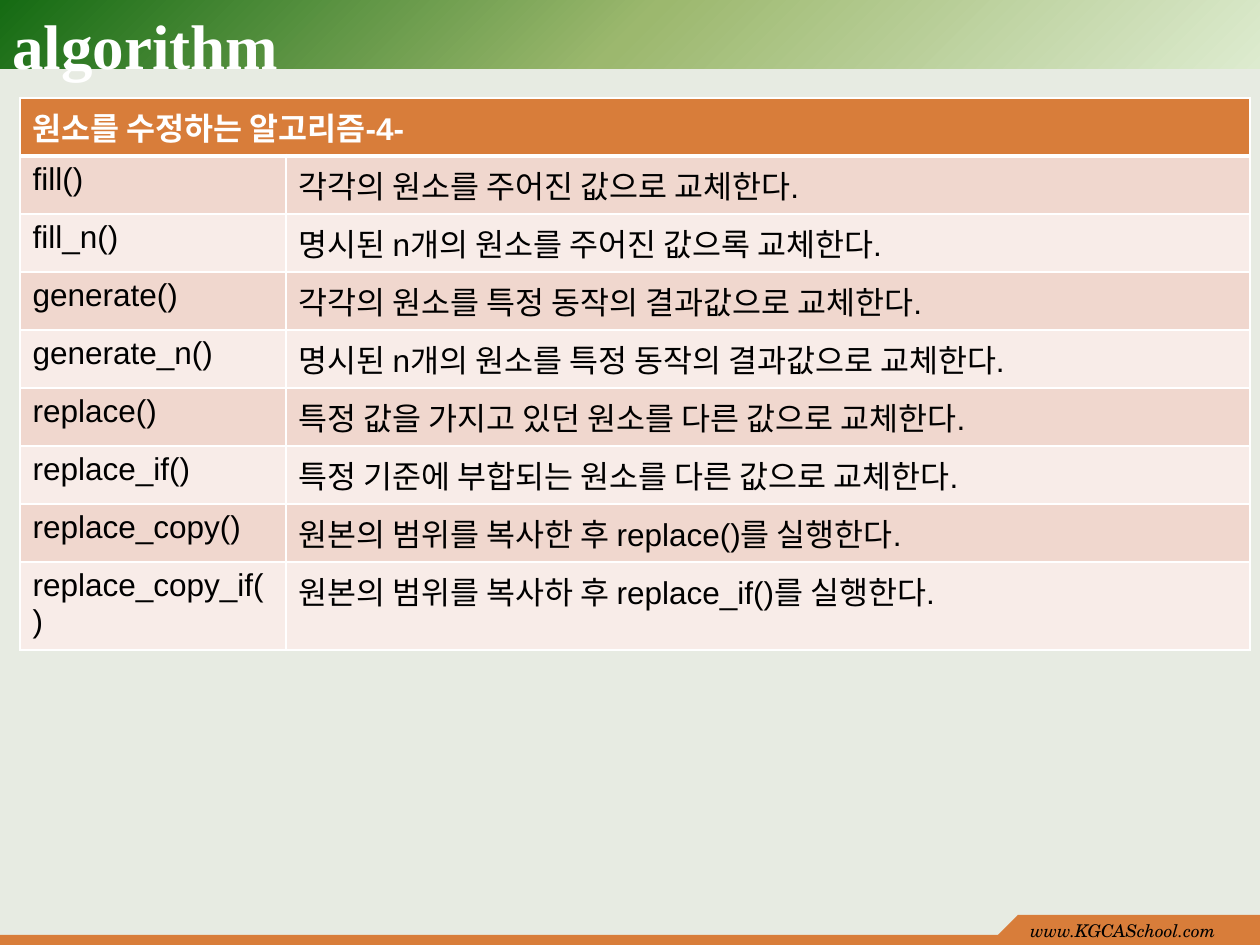
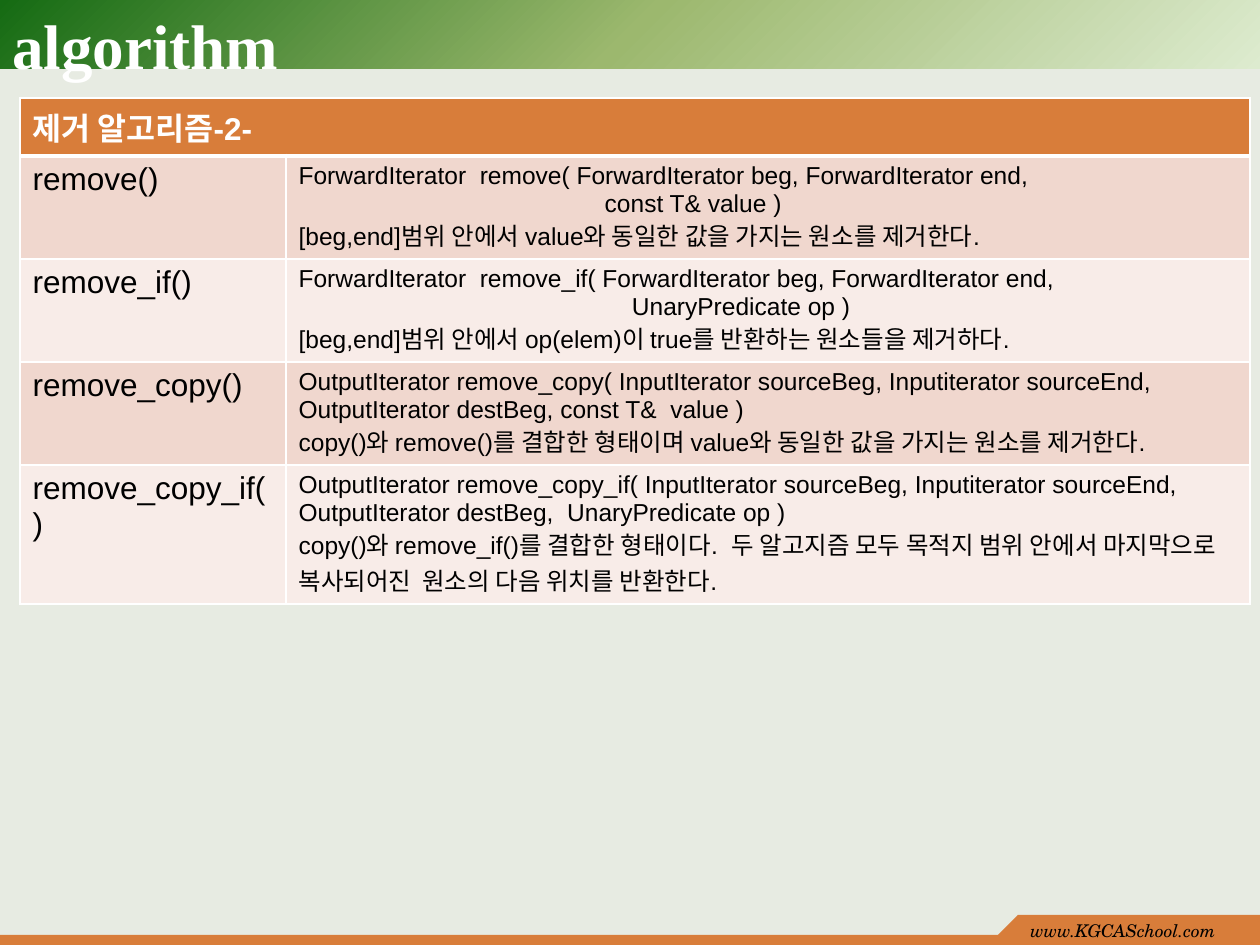
from pptx import Presentation
from pptx.dml.color import RGBColor
from pptx.enum.shapes import MSO_SHAPE as Preset
from pptx.enum.text import MSO_ANCHOR as Anchor
from pptx.oxml import parse_xml
from pptx.oxml.ns import nsdecls
from pptx.util import Pt

TITLE = "algorithm"
FOOTER = "www.KGCASchool.com"
TABLES = [
    {
        "heading": "원소를 수정하는 알고리즘-4-",
        "detail_size": 18,
        "heights": [58] * 8 + [83],
        "rows": [
            ("fill()", ["각각의 원소를 주어진 값으로 교체한다."]),
            ("fill_n()", ["명시된 n개의 원소를 주어진 값으록 교체한다."]),
            ("generate()", ["각각의 원소를 특정 동작의 결과값으로 교체한다."]),
            ("generate_n()", ["명시된 n개의 원소를 특정 동작의 결과값으로 교체한다."]),
            ("replace()", ["특정 값을 가지고 있던 원소를 다른 값으로 교체한다."]),
            ("replace_if()", ["특정 기준에 부합되는 원소를 다른 값으로 교체한다."]),
            ("replace_copy()", ["원본의 범위를 복사한 후 replace()를 실행한다."]),
            ("replace_copy_if()", ["원본의 범위를 복사하 후 replace_if()를 실행한다."]),
        ],
    },
    {
        "heading": "제거 알고리즘-2-",
        "detail_size": 14,
        "heights": [58, 103, 103, 103, 139],
        "rows": [
            ("remove()", [
                "ForwardIterator  remove( ForwardIterator beg, ForwardIterator end,\n"
                "                                             const T& value )",
                "[beg,end]범위 안에서 value와 동일한 값을 가지는 원소를 제거한다.",
            ]),
            ("remove_if()", [
                "ForwardIterator  remove_if( ForwardIterator beg, ForwardIterator end,\n"
                "                                                 UnaryPredicate op )",
                "[beg,end]범위 안에서 op(elem)이 true를 반환하는 원소들을 제거하다.",
            ]),
            ("remove_copy()", [
                "OutputIterator remove_copy( InputIterator sourceBeg, Inputiterator sourceEnd, "
                "OutputIterator destBeg, const T&  value )",
                "copy()와 remove()를 결합한 형태이며 value와 동일한 값을 가지는 원소를 제거한다.",
            ]),
            ("remove_copy_if()", [
                "OutputIterator remove_copy_if( InputIterator sourceBeg, Inputiterator sourceEnd, "
                "OutputIterator destBeg,  UnaryPredicate op )",
                "copy()와 remove_if()를 결합한 형태이다.  두 알고지즘 모두 목적지 범위 안에서 "
                "마지막으로 복사되어진  원소의 다음 위치를 반환한다.",
            ]),
        ],
    },
]

EMU_PER_PX = 914400 / 126
WIDTH, HEIGHT = 1260, 945
TABLE_LEFT, TABLE_TOP = 20, 98
COLUMNS = [266, 964]
TAB_LEFT, TAB_TOP, TAB_HEIGHT = 1018, 915, 21
BAR_TOP = 935

BACKGROUND, ACCENT, WHITE, BLACK = "E7EBE2", "D87D3A", "FFFFFF", "000000"
ROW_FILLS = ["F0D7CE", "F8ECE8"]
BAND_STOPS = [(0, "DDEBCF"), (50, "9CB86E"), (100, "156B13")]

TITLE_FORMAT = {"name": "Times New Roman", "size": 36, "color": WHITE, "bold": True}
FOOTER_FORMAT = {"name": "TeX Gyre Schola", "size": 10, "color": BLACK, "italic": True}
HEADING_FORMAT = {"name": "Arial", "size": 18, "color": WHITE, "bold": True}
NAME_FORMAT = {"name": "Arial", "size": 18, "color": BLACK, "bold": False}


def px(*lengths):
    return [round(length * EMU_PER_PX) for length in lengths]


def rgb(value):
    return RGBColor.from_string(value)


def write(text_frame, texts, text_format):
    for index, text in enumerate(texts):
        paragraph = text_frame.add_paragraph() if index else text_frame.paragraphs[0]
        paragraph.text = text
        for run in paragraph.runs:
            for key, value in text_format.items():
                if key == "color":
                    run.font.color.rgb = rgb(value)
                else:
                    setattr(run.font, key, Pt(value) if key == "size" else value)


def paint(shape, color):
    shape.shadow.inherit = False
    shape.fill.solid()
    shape.fill.fore_color.rgb = rgb(color)
    shape.line.fill.background()


def add_bar(slide, *box):
    shape = slide.shapes.add_shape(Preset.RECTANGLE, *px(*box))
    paint(shape, ACCENT)
    return shape


def add_text(slide, box, text, text_format, anchor):
    text_frame = slide.shapes.add_textbox(*px(*box)).text_frame
    text_frame.word_wrap = True
    text_frame.vertical_anchor = anchor
    write(text_frame, [text], text_format)


def add_title_band(slide):
    band = add_bar(slide, 0, 0, WIDTH, 69)
    stops = "".join(
        f'<a:gs pos="{position * 1000}"><a:srgbClr val="{color}"/></a:gs>'
        for position, color in BAND_STOPS
    )
    gradient = parse_xml(
        f'<a:gradFill {nsdecls("a")} rotWithShape="1"><a:gsLst>{stops}</a:gsLst>'
        '<a:path path="circle"><a:fillToRect l="100000" t="100000"/></a:path></a:gradFill>'
    )
    properties = band.element.spPr
    properties.replace(properties.find("{*}solidFill"), gradient)
    add_text(slide, (0, 0, 1134, 88), TITLE, TITLE_FORMAT, Anchor.MIDDLE)


def add_footer(slide):
    tab_width = WIDTH - TAB_LEFT
    add_bar(slide, 0, BAR_TOP, WIDTH, HEIGHT - BAR_TOP)
    add_bar(slide, TAB_LEFT, TAB_TOP, tab_width, TAB_HEIGHT)
    tab_bottom = TAB_TOP + TAB_HEIGHT
    builder = slide.shapes.build_freeform(TAB_LEFT - TAB_HEIGHT, tab_bottom, scale=EMU_PER_PX)
    builder.add_line_segments([(TAB_LEFT, tab_bottom), (TAB_LEFT, TAB_TOP)], close=True)
    paint(builder.convert_to_shape(), ACCENT)
    add_text(slide, (TAB_LEFT, 914, tab_width, 31), FOOTER, FOOTER_FORMAT, Anchor.TOP)


def style_cell(cell, color, widths):
    cell.fill.solid()
    cell.fill.fore_color.rgb = rgb(color)
    for index, (side, width) in enumerate(zip("LRTB", widths)):
        border = parse_xml(
            f'<a:ln{side} {nsdecls("a")} w="{Pt(width)}"><a:solidFill>'
            f'<a:srgbClr val="{WHITE}"/></a:solidFill></a:ln{side}>'
        )
        cell._tc.tcPr.insert(index, border)


def add_function_table(slide, content):
    heights = content["heights"]
    box = px(TABLE_LEFT, TABLE_TOP, sum(COLUMNS), sum(heights))
    table = slide.shapes.add_table(len(heights), len(COLUMNS), *box).table
    for column, width in zip(table.columns, px(*COLUMNS)):
        column.width = width
    for row, height in zip(table.rows, px(*heights)):
        row.height = height
    for cell in table.rows[0].cells:
        style_cell(cell, ACCENT, (1, 1, 1, 3))
    table.cell(0, 0).merge(table.cell(0, 1))
    write(table.cell(0, 0).text_frame, [content["heading"]], HEADING_FORMAT)

    detail_format = NAME_FORMAT | {"size": content["detail_size"]}
    for index, (name, details) in enumerate(content["rows"]):
        name_cell, detail_cell = table.rows[index + 1].cells
        for cell in (name_cell, detail_cell):
            style_cell(cell, ROW_FILLS[index % 2], (1, 1, 1 if index else 3, 1))
        write(name_cell.text_frame, [name], NAME_FORMAT)
        write(detail_cell.text_frame, details, detail_format)


def main():
    presentation = Presentation()
    presentation.slide_width, presentation.slide_height = px(WIDTH, HEIGHT)
    for content in TABLES:
        slide = presentation.slides.add_slide(presentation.slide_layouts[6])
        slide.background.fill.solid()
        slide.background.fill.fore_color.rgb = rgb(BACKGROUND)
        add_title_band(slide)
        add_footer(slide)
        add_function_table(slide, content)
    presentation.save("out.pptx")


if __name__ == "__main__":
    main()
